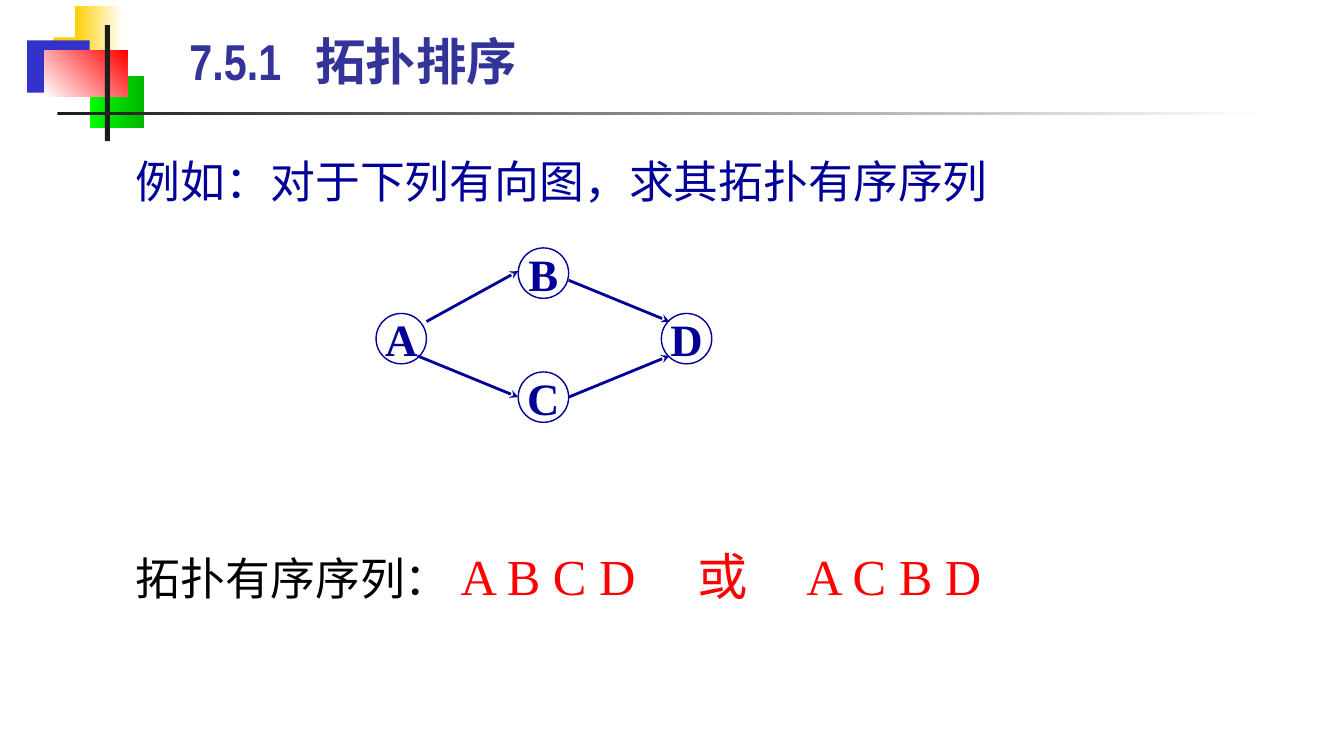
from lxml import etree
from pptx import Presentation
from pptx.dml.color import RGBColor
from pptx.enum.shapes import MSO_CONNECTOR as Connector, MSO_SHAPE as Shape
from pptx.enum.text import MSO_ANCHOR as Anchor, PP_ALIGN as Align
from pptx.oxml.ns import qn
from pptx.util import Inches, Pt

# The page is a grid of square cells: 133.3 columns by 75 rows
CELL = Inches(0.1)
COLUMNS, ROWS = 133.3, 75

NAVY = RGBColor(0x00, 0x00, 0x99)
TITLE_BLUE = RGBColor(0x33, 0x33, 0x99)
BLUE = RGBColor(0x33, 0x33, 0xCC)
GOLD = RGBColor(0xFF, 0xCF, 0x01)
LIME = RGBColor(0x00, 0xFF, 0x00)
GREEN = RGBColor(0x00, 0xB6, 0x00)
RED = RGBColor(0xFF, 0x00, 0x00)
INK = RGBColor(0x1C, 0x1C, 0x1C)
BLACK = RGBColor(0x00, 0x00, 0x00)
WHITE = RGBColor(0xFF, 0xFF, 0xFF)

HAN_FONT = "Noto Sans CJK SC"
LATIN_FONT = "Times New Roman"
TITLE_FONT = "Arial Narrow"

# Emblem: left, top, width, height, colours, gradient angle
EMBLEM = [
    (5.3, 3.7, 6.4, 5.2, [GOLD], 0),
    (7.4, 0.6, 4.8, 5.2, [GOLD, WHITE], 0),
    (2.7, 4, 6.2, 5.2, [BLUE], 0),
    (8.9, 7.5, 5.4, 5.2, [LIME, GREEN], 0),
    (4.4, 5, 8.2, 4.6, [WHITE, RED], 45),
    (10.4, 2.5, 0.5, 11.5, [INK], 0),
    (5.7, 11.1, 120, 0.3, [INK, WHITE], 0),
]

# Directed graph: node centres, then edges with offsets from both centres
NODE_SIZE = 5
NODES = {"A": (39.8, 33.6), "B": (53.9, 27.1), "C": (53.9, 39.4), "D": (68.1, 33.6)}
EDGES = [
    ("A", (2.5, -1.7), "B", (-2.5, -0.2)),
    ("A", (1.6, 1.7), "C", (-2.5, 0)),
    ("B", (2.5, 0.7), "D", (-1.7, -1.7)),
    ("C", (2.5, 0), "D", (-1.7, 1.7)),
]


def cells(*counts):
    return [int(count * CELL) for count in counts]


def add_span(para, text, color, **font_format):
    span = para.add_run()
    span.text = text
    for name, value in font_format.items():
        setattr(span.font, name, value)
    span.font.color.rgb = color
    east_asian = etree.SubElement(span.font._element, qn("a:ea"))
    east_asian.set("typeface", HAN_FONT)


def add_text(page, area, spans, tabs=(), wrap=True):
    box = page.shapes.add_textbox(*cells(*area))
    box.text_frame.word_wrap = wrap
    para = box.text_frame.paragraphs[0]
    if tabs:
        tab_list = etree.SubElement(para._p.get_or_add_pPr(), qn("a:tabLst"))
        for position in cells(*tabs):
            etree.SubElement(tab_list, qn("a:tab"), pos=str(position), algn="l")
    for text, color, font_format in spans:
        add_span(para, text, color, **font_format)


def add_block(page, left, top, width, height, colors, angle):
    block = page.shapes.add_shape(Shape.RECTANGLE, *cells(left, top, width, height))
    block.shadow.inherit = False
    block.line.fill.background()
    if len(colors) == 1:
        block.fill.solid()
        block.fill.fore_color.rgb = colors[0]
    else:
        block.fill.gradient()
        block.fill.gradient_angle = angle
        for stop, color in zip(block.fill.gradient_stops, colors):
            stop.color.rgb = color


def add_node(page, label, center):
    left, top = (value - NODE_SIZE / 2 for value in center)
    node = page.shapes.add_shape(Shape.OVAL, *cells(left, top, NODE_SIZE, NODE_SIZE))
    node.shadow.inherit = False
    node.fill.background()
    node.line.color.rgb = NAVY
    node.line.width = Pt(1)
    frame = node.text_frame
    frame_format = {"word_wrap": False, "vertical_anchor": Anchor.MIDDLE, "margin_left": 0,
                    "margin_right": 0, "margin_top": 0, "margin_bottom": 0}
    for name, value in frame_format.items():
        setattr(frame, name, value)
    para = frame.paragraphs[0]
    para.alignment = Align.CENTER
    add_span(para, label, NAVY, name=LATIN_FONT, size=Pt(32), bold=True)


def add_edge(page, start, start_offset, end, end_offset):
    points = [center + shift
              for node, offset in ((start, start_offset), (end, end_offset))
              for center, shift in zip(NODES[node], offset)]
    edge = page.shapes.add_connector(Connector.STRAIGHT, *cells(*points))
    edge.line.color.rgb = NAVY
    edge.line.width = Pt(2)
    etree.SubElement(edge.line._get_or_add_ln(), qn("a:tailEnd"), type="stealth")
    etree.SubElement(edge._element.spPr, qn("a:effectLst"))


def main():
    deck = Presentation()
    deck.slide_width, deck.slide_height = cells(COLUMNS, ROWS)
    page = deck.slides.add_slide(deck.slide_layouts[6])

    # Emblem and rule
    for block in EMBLEM:
        add_block(page, *block)

    # Title and question
    title = {"name": TITLE_FONT, "size": Pt(36), "bold": True}
    han = {"name": HAN_FONT, "size": Pt(32)}
    add_text(page, (17.8, 2.5, 113.6, 8.3), [("7.5.1\t拓扑排序", TITLE_BLUE, title)], tabs=[12.5])
    add_text(page, (12.5, 14.8, 87.3, 6.4),
             [("例如：对于下列有向图，求其拓扑有序序列", NAVY, han)], wrap=False)

    # Graph
    for label, center in NODES.items():
        add_node(page, label, center)
    for edge in EDGES:
        add_edge(page, *edge)

    # Answer
    answer = {"name": LATIN_FONT, "size": Pt(36)}
    add_text(page, (12.5, 53.6, 97.3, 7.1),
             [("拓扑有序序列：", BLACK, han), ("\tA B C D\t或\tA C B D", RED, answer)],
             tabs=[32.2, 55.7, 66.5])

    deck.save("out.pptx")


if __name__ == "__main__":
    main()
